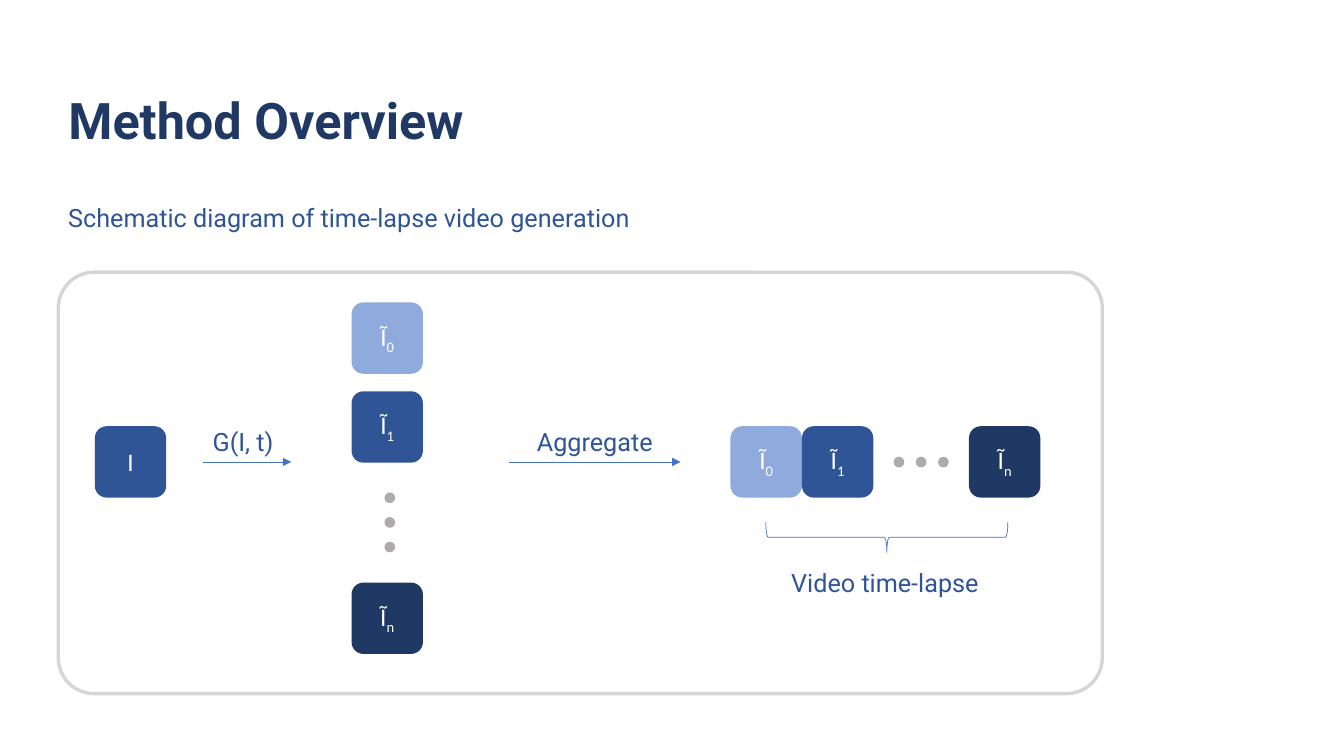
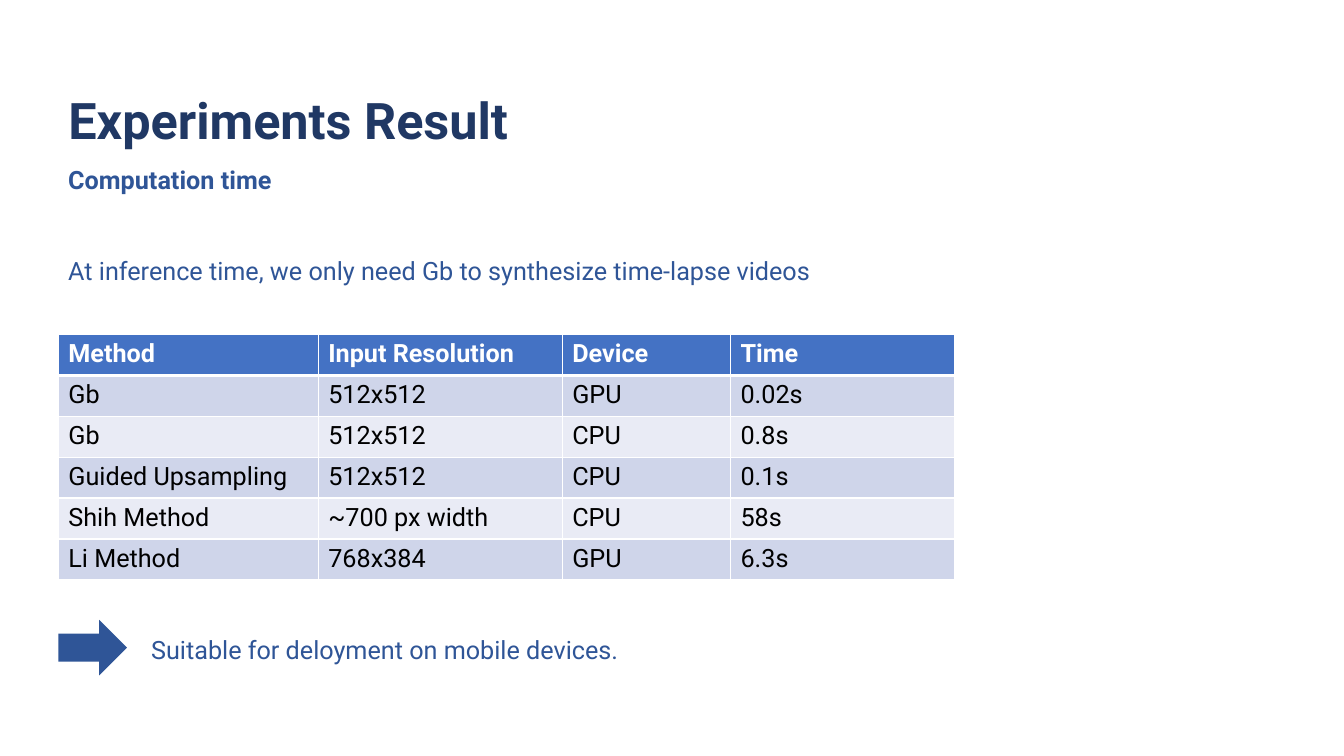
from pptx import Presentation
from pptx.dml.color import RGBColor
from pptx.enum.shapes import MSO_CONNECTOR, MSO_SHAPE
from pptx.enum.text import MSO_ANCHOR, MSO_AUTO_SIZE, PP_ALIGN
from pptx.oxml.ns import qn
from pptx.util import Cm, Pt
from lxml import etree

# Colours
NAVY = RGBColor(0x20, 0x38, 0x64)
BLUE = RGBColor(0x2F, 0x55, 0x97)
ACCENT = RGBColor(0x44, 0x72, 0xC4)
LIGHT = RGBColor(0x8F, 0xAA, 0xDC)
GREY = RGBColor(0xAF, 0xAB, 0xAB)
FRAME = RGBColor(0xD8, 0xD4, 0xD4)
BANDS = [RGBColor(0xCF, 0xD5, 0xEA), RGBColor(0xE9, 0xEB, 0xF5)]
WHITE = RGBColor(255, 255, 255)
BLACK = RGBColor(0, 0, 0)

# Enum members
ROUND = MSO_SHAPE.ROUNDED_RECTANGLE
OVAL = MSO_SHAPE.OVAL
BRACE = MSO_SHAPE.LEFT_BRACE
ARROW = MSO_SHAPE.RIGHT_ARROW
LINE = MSO_CONNECTOR.STRAIGHT
LEFT, CENTER = PP_ALIGN.LEFT, PP_ALIGN.CENTER
MIDDLE, BOTTOM = MSO_ANCHOR.MIDDLE, MSO_ANCHOR.BOTTOM
FIXED = MSO_AUTO_SIZE.NONE

# Shared measures in centimetres
EDGE = 1.47
TILE = 1.8
LABEL = 1.02


class Deck:
    """Holds the style and the slide being built."""

    def __init__(self):
        self.prs = Presentation()
        self.prs.slide_width, self.prs.slide_height = Cm(33.87), Cm(19.05)
        self.slide = None

    def font(self, para, color=BLUE, bold=False, size=18, name="Roboto"):
        font = para.font
        font.name, font.size, font.bold = name, Pt(size), bold
        font.color.rgb = color

    def start(self, title):
        self.slide = self.prs.slides.add_slide(self.prs.slide_layouts[5])
        head = self.slide.shapes.title
        head.left, head.top = Cm(EDGE), Cm(2.16)
        head.width, head.height = Cm(14.76), Cm(1.75)
        frame = head.text_frame
        frame.text = title
        frame.auto_size, frame.vertical_anchor = FIXED, BOTTOM
        para = frame.paragraphs[0]
        para.alignment, para.line_spacing = LEFT, 0.9
        self.font(para, NAVY, True, 36)

    def text(self, words, x, y, w, h=LABEL, bold=False):
        frame = self.slide.shapes.add_textbox(
            Cm(x), Cm(y), Cm(w), Cm(h)).text_frame
        frame.word_wrap = True
        frame.text = words
        self.font(frame.paragraphs[0], bold=bold)
        return frame

    def shape(self, kind, x, y, w, h, fill=None, line=None, weight=0.5):
        item = self.slide.shapes.add_shape(kind, Cm(x), Cm(y), Cm(w), Cm(h))
        item.shadow.inherit = False
        if fill is None:
            item.fill.background()
        else:
            item.fill.solid()
            item.fill.fore_color.rgb = fill
        if line is None:
            item.line.fill.background()
        else:
            item.line.color.rgb, item.line.width = line, Pt(weight)
        return item

    def tile(self, x, y, fill, sign, sub=""):
        frame = self.shape(ROUND, x, y, TILE, TILE, fill).text_frame
        frame.vertical_anchor = MIDDLE
        para = frame.paragraphs[0]
        para.alignment = CENTER
        self.font(para, WHITE, name="Calibri")
        para.add_run().text = sign
        if sub:
            run = para.add_run()
            run.text = sub
            run._r.get_or_add_rPr().set("baseline", "-25000")

    def dots(self, x, y, dx=0, dy=0):
        for i in range(3):
            self.shape(OVAL, x + i * dx, y + i * dy, 0.27, 0.27, GREY)

    def arrow(self, x, y, end):
        item = self.slide.shapes.add_connector(
            LINE, Cm(x), Cm(y), Cm(end), Cm(y))
        item.line.color.rgb, item.line.width = ACCENT, Pt(0.5)
        tip = etree.SubElement(item.line._get_or_add_ln(), qn("a:tailEnd"))
        tip.set("type", "triangle")
        etree.SubElement(item._element.spPr, qn("a:effectLst"))

    def border(self, cell, side, weight):
        props = cell._tc.get_or_add_tcPr()
        line = etree.SubElement(props, qn("a:ln" + side), w=str(Pt(weight)))
        fill = etree.SubElement(line, qn("a:solidFill"))
        etree.SubElement(fill, qn("a:srgbClr"), val=str(WHITE))

    def table(self, rows, x, y, widths, high):
        grid = self.slide.shapes.add_table(
            len(rows), len(widths), Cm(x), Cm(y),
            Cm(sum(widths)), Cm(high * len(rows))).table
        grid.horz_banding = False
        for col, width in zip(grid.columns, widths):
            col.width = Cm(width)
        for r, row in enumerate(rows):
            grid.rows[r].height = Cm(high)
            top = r == 0
            for c, words in enumerate(row):
                cell = grid.cell(r, c)
                # A thick rule parts the header from the body
                weights = {"L": 1, "R": 1, "T": 3 if r == 1 else 1,
                           "B": 3 if top else 1}
                for side, weight in weights.items():
                    self.border(cell, side, weight)
                cell.fill.solid()
                cell.fill.fore_color.rgb = ACCENT if top else BANDS[(r - 1) % 2]
                cell.text = words
                self.font(cell.text_frame.paragraphs[0],
                          WHITE if top else BLACK, top)


def method(deck):
    deck.start("Method Overview")
    panel = deck.shape(ROUND, EDGE, 6.86, 26.31, 10.62, WHITE, FRAME, 2.4)
    panel.adjustments[0] = 0.085
    deck.text("Schematic diagram of time-lapse video generation",
              EDGE, 4.98, 31.12)

    # Input and generator
    mid = 10.74
    axis = mid + TILE / 2
    deck.tile(2.39, mid, BLUE, "I")
    deck.arrow(5.11, axis, 7.34)
    deck.text("G(I, t)", 5.11, axis - LABEL, 2.21)

    # Frames: a column of outputs, then the same ones in a row
    frames = [("0", LIGHT, 7.62, 18.41), ("1", BLUE, 9.86, 18.41 + TILE),
              ("n", NAVY, 14.68, 24.42)]
    for sub, fill, y, x in frames:
        deck.tile(8.86, y, fill, "Ĩ", sub)
        deck.tile(x, mid, fill, "Ĩ", sub)
    deck.dots(9.69, 12.41, dy=0.62)
    deck.dots(22.52, axis - 0.13, dx=0.56)

    # Aggregation and result
    deck.arrow(12.83, axis, 17.15)
    deck.text("Aggregate", 13.28, axis - LABEL, 3.73)
    deck.shape(BRACE, 21.97, 10.49, 0.76, 6.1, line=ACCENT).rotation = 270
    deck.text("Video time-lapse", 19.69, 14.17, 5.36)


def result(deck):
    deck.start("Experiments Result")
    deck.text("Computation time", EDGE, 4.01, 11.25, bold=True)
    deck.text("At inference time, we only need Gb to synthesize "
              "time-lapse videos", EDGE, 6.32, 20.68)

    # Timings
    rows = [
        ("Method", "Input Resolution", "Device", "Time"),
        ("Gb", "512x512", "GPU", "0.02s"),
        ("Gb", "512x512", "CPU", "0.8s"),
        ("Guided Upsampling", "512x512", "CPU", "0.1s"),
        ("Shih Method", "~700 px width", "CPU", "58s"),
        ("Li Method", "768x384", "GPU", "6.3s"),
    ]
    deck.table(rows, EDGE, 8.43, [6.55, 6.15, 4.24, 5.64], 1.03)

    # Conclusion
    deck.shape(ARROW, EDGE, 15.62, 1.73, 1.4, BLUE)
    frame = deck.text("Suitable for deloyment on mobile devices.",
                      3.81, 15.75, 28.6, 1.12)
    frame.margin_left = frame.margin_right = 0
    frame.margin_top = frame.margin_bottom = 0
    frame.paragraphs[0].line_spacing = Pt(28.5)


def main():
    deck = Deck()
    method(deck)
    result(deck)
    deck.prs.save("out.pptx")


if __name__ == "__main__":
    main()
